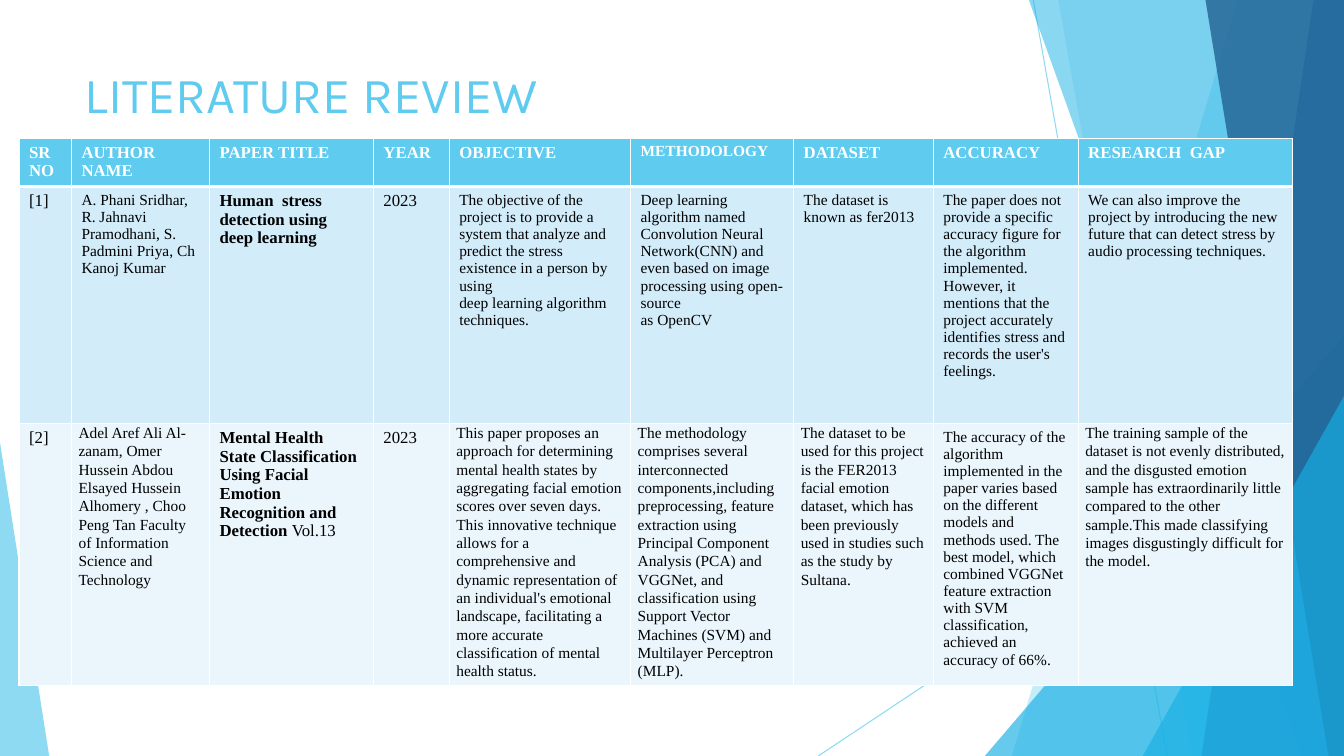
"""Build the literature review slide: faceted edges, a title and a table of papers."""
import dataclasses

import lxml.etree
import pptx
import pptx.dml.color
import pptx.enum.shapes
import pptx.enum.text
import pptx.oxml.ns
import pptx.util

Cm = pptx.util.Cm
Pt = pptx.util.Pt
qn = pptx.oxml.ns.qn
WIDTH, HEIGHT = 33.87, 19.05


@dataclasses.dataclass(frozen=True)
class Theme:
    """Colours, fonts and type sizes of the deck."""
    sky: str = "5FCBEF"
    azure: str = "17B0E4"
    blue: str = "2E83C3"
    navy: str = "226292"
    white: str = "FFFFFF"
    ink: str = "000000"
    bands: tuple = ("5FCBEF", "D2ECF9", "EAF6FC")
    title_font: str = "Karla"
    table_font: str = "Times New Roman"
    title_size: int = 36
    label_size: int = 12
    note_size: int = 11


THEME = Theme()


@dataclasses.dataclass(frozen=True)
class CellStyle:
    """Type and padding of one kind of table cell."""
    size: int
    color: str = THEME.ink
    bold: bool = False
    tight: bool = False


HEAD = CellStyle(THEME.label_size, THEME.white, bold=True)
SMALL_HEAD = dataclasses.replace(HEAD, size=THEME.note_size)
LABEL = CellStyle(THEME.label_size)
PAPER = CellStyle(THEME.label_size, bold=True)
NOTE = CellStyle(THEME.note_size)
TIGHT_NOTE = CellStyle(THEME.note_size, tight=True)


class ReviewSlide:
    """Hold the theme and the current slide, and draw its elements."""

    def __init__(self, deck, theme):
        self.theme = theme
        self.slide = deck.slides.add_slide(deck.slide_layouts[5])
        self.shapes = self.slide.shapes

    def rgb(self, color):
        return pptx.dml.color.RGBColor.from_string(color)

    def set_alpha(self, shape, percent):
        paint = shape.element.find(".//" + qn("a:srgbClr"))
        lxml.etree.SubElement(paint, qn("a:alpha"), val=str(percent * 1000))

    def paint(self, shape, color, alpha):
        shape.shadow.inherit = False
        shape.fill.solid()
        shape.fill.fore_color.rgb = self.rgb(color)
        shape.line.fill.background()
        self.set_alpha(shape, alpha)

    def line(self, start, end, color, alpha):
        points = [Cm(value) for value in start + end]
        edge = self.shapes.add_connector(pptx.enum.shapes.MSO_CONNECTOR.STRAIGHT, *points)
        edge.line.color.rgb = self.rgb(color)
        edge.line.width = Pt(0.75)
        self.set_alpha(edge, alpha)
        lxml.etree.SubElement(edge.element.spPr, qn("a:effectLst"))

    def facet(self, top_x, bottom_x, color, alpha):
        outline = self.shapes.build_freeform(Cm(top_x), 0)
        corners = [(WIDTH, 0), (WIDTH, HEIGHT), (bottom_x, HEIGHT)]
        outline.add_line_segments([(Cm(x), Cm(y)) for x, y in corners])
        self.paint(outline.convert_to_shape(), color, alpha)

    def triangle(self, left, top, width, apex, color, alpha):
        corner = self.shapes.add_shape(
            pptx.enum.shapes.MSO_SHAPE.ISOSCELES_TRIANGLE,
            Cm(left), Cm(top), Cm(width), Cm(HEIGHT - top))
        corner.adjustments[0] = apex
        self.paint(corner, color, alpha)

    def run(self, paragraph, text, font, size, color, bold=False):
        run = paragraph.add_run()
        run.text = text
        run.font.name = font
        run.font.size = Pt(size)
        run.font.bold = bold
        run.font.color.rgb = self.rgb(color)

    def title(self, text, left, top, width, height):
        heading = self.shapes.title
        heading.left, heading.top = Cm(left), Cm(top)
        heading.width, heading.height = Cm(width), Cm(height)
        frame = heading.text_frame
        frame.word_wrap = True
        frame.vertical_anchor = pptx.enum.text.MSO_ANCHOR.MIDDLE
        paragraph = frame.paragraphs[0]
        paragraph.alignment = pptx.enum.text.PP_ALIGN.LEFT
        paragraph.line_spacing = 0.9
        self.run(paragraph, text, self.theme.title_font, self.theme.title_size, self.theme.sky)
        heading.element.getparent().append(heading.element)

    def borders(self, cell, bottom):
        properties = cell._tc.get_or_add_tcPr()
        for side, points in (("L", 1), ("R", 1), ("T", 1), ("B", bottom)):
            border = lxml.etree.SubElement(properties, qn("a:ln" + side), w=str(Pt(points)))
            solid = lxml.etree.SubElement(border, qn("a:solidFill"))
            lxml.etree.SubElement(solid, qn("a:srgbClr"), val=self.theme.white)

    def cell(self, cell, band, bottom, style, text, suffix=""):
        self.borders(cell, bottom)
        cell.fill.solid()
        cell.fill.fore_color.rgb = self.rgb(band)
        if style.tight:
            cell.margin_left = cell.margin_right = Cm(0.18)
            cell.margin_top = cell.margin_bottom = 0
        frame = cell.text_frame
        for index, words in enumerate(text.split("\n")):
            paragraph = frame.add_paragraph() if index else frame.paragraphs[0]
            if style.tight:
                paragraph.line_spacing = 1.07
                paragraph.space_after = Pt(8)
            self.run(paragraph, words, self.theme.table_font, style.size, style.color, style.bold)
        if suffix:
            self.run(paragraph, suffix, self.theme.table_font, style.size, style.color)

    def table(self, left, top, widths, heights, rows):
        grid = self.shapes.add_table(
            len(rows), len(widths), Cm(left), Cm(top), Cm(sum(widths)), Cm(sum(heights))).table
        grid.horz_banding = False
        for column, width in zip(grid.columns, widths):
            column.width = Cm(width)
        for index, (row, height, entries) in enumerate(zip(grid.rows, heights, rows)):
            row.height = Cm(height)
            for cell, entry in zip(row.cells, entries):
                self.cell(cell, self.theme.bands[index], 1 if index else 3, *entry)


PAPERS = [
    [(HEAD, "SR NO"), (HEAD, "AUTHOR NAME"), (HEAD, "PAPER TITLE"), (HEAD, "YEAR"),
     (HEAD, "OBJECTIVE"), (SMALL_HEAD, "METHODOLOGY"), (HEAD, "DATASET"),
     (HEAD, "ACCURACY"), (HEAD, "RESEARCH  GAP")],
    [(LABEL, "[1]"),
     (NOTE, "A. Phani Sridhar, R. Jahnavi Pramodhani, S. Padmini Priya, Ch Kanoj Kumar"),
     (PAPER, "Human  stress detection using deep learning"),
     (LABEL, "2023"),
     (NOTE, "The objective of the project is to provide a system that analyze and predict the "
            "stress existence in a person by using\ndeep learning algorithm techniques."),
     (NOTE, "Deep learning algorithm named Convolution Neural Network(CNN) and even based on "
            "image processing using open-source\nas OpenCV"),
     (NOTE, "The dataset is known as fer2013"),
     (NOTE, "The paper does not provide a specific accuracy figure for the algorithm "
            "implemented. However, it mentions that the project accurately identifies stress "
            "and records the user's feelings."),
     (NOTE, "We can also improve the project by introducing the new future that can detect "
            "stress by audio processing techniques.")],
    [(LABEL, "[2]"),
     (TIGHT_NOTE, "Adel Aref Ali Al-zanam, Omer Hussein Abdou Elsayed Hussein Alhomery , "
                  "Choo Peng Tan Faculty of Information Science and Technology"),
     (PAPER, "Mental Health State Classification Using Facial Emotion Recognition and "
             "Detection ", "Vol.13"),
     (LABEL, "2023"),
     (TIGHT_NOTE, "This paper proposes an approach for determining mental health states by "
                  "aggregating facial emotion scores over seven days. This innovative technique "
                  "allows for a comprehensive and dynamic representation of an individual's "
                  "emotional landscape, facilitating a more accurate classification of mental "
                  "health status."),
     (TIGHT_NOTE, "The methodology comprises several interconnected components,including "
                  "preprocessing, feature extraction using Principal Component Analysis (PCA) "
                  "and VGGNet, and classification using Support Vector Machines (SVM) and "
                  "Multilayer Perceptron (MLP)."),
     (TIGHT_NOTE, "The dataset to be used for this project is the FER2013 facial emotion "
                  "dataset, which has been previously used in studies such as the study by "
                  "Sultana."),
     (NOTE, "The accuracy of the algorithm implemented in the paper varies based on the "
            "different models and methods used. The best model, which combined VGGNet feature "
            "extraction with SVM classification, achieved an accuracy of 66%."),
     (TIGHT_NOTE, "The training sample of the dataset is not evenly distributed, and the "
                  "disgusted emotion sample has extraordinarily little compared to the other "
                  "sample.This made classifying images disgustingly difficult for the model.")],
]


def main():
    deck = pptx.Presentation()
    deck.slide_width, deck.slide_height = Cm(WIDTH), Cm(HEIGHT)
    review = ReviewSlide(deck, THEME)
    review.line((26.04, 0), (29.41, HEIGHT), THEME.sky, 70)
    review.line((WIDTH, 10.24), (20.62, HEIGHT), THEME.sky, 70)
    review.facet(31.19, 25.5, THEME.sky, 36)
    review.facet(26.67, 30.05, THEME.sky, 20)
    review.triangle(24.82, 8.46, 9.05, 1, THEME.azure, 66)
    review.facet(25.93, 32.79, THEME.azure, 50)
    review.facet(33.1, 30.28, THEME.blue, 70)
    review.facet(30.38, 33.48, THEME.navy, 80)
    review.triangle(28.8, 9.98, 5.07, 1, THEME.azure, 66)
    review.triangle(0, 11.15, 1.24, 0, THEME.sky, 70)
    review.title("LITERATURE REVIEW", 1.88, 1.4, 23.88, 2.08)
    review.table(0.48, 3.48, [1.32, 3.48, 4.13, 1.91, 4.57, 4.11, 3.52, 3.65, 5.41],
                 [1.22, 5.97, 6.6], PAPERS)
    deck.save("out.pptx")


if __name__ == "__main__":
    main()
